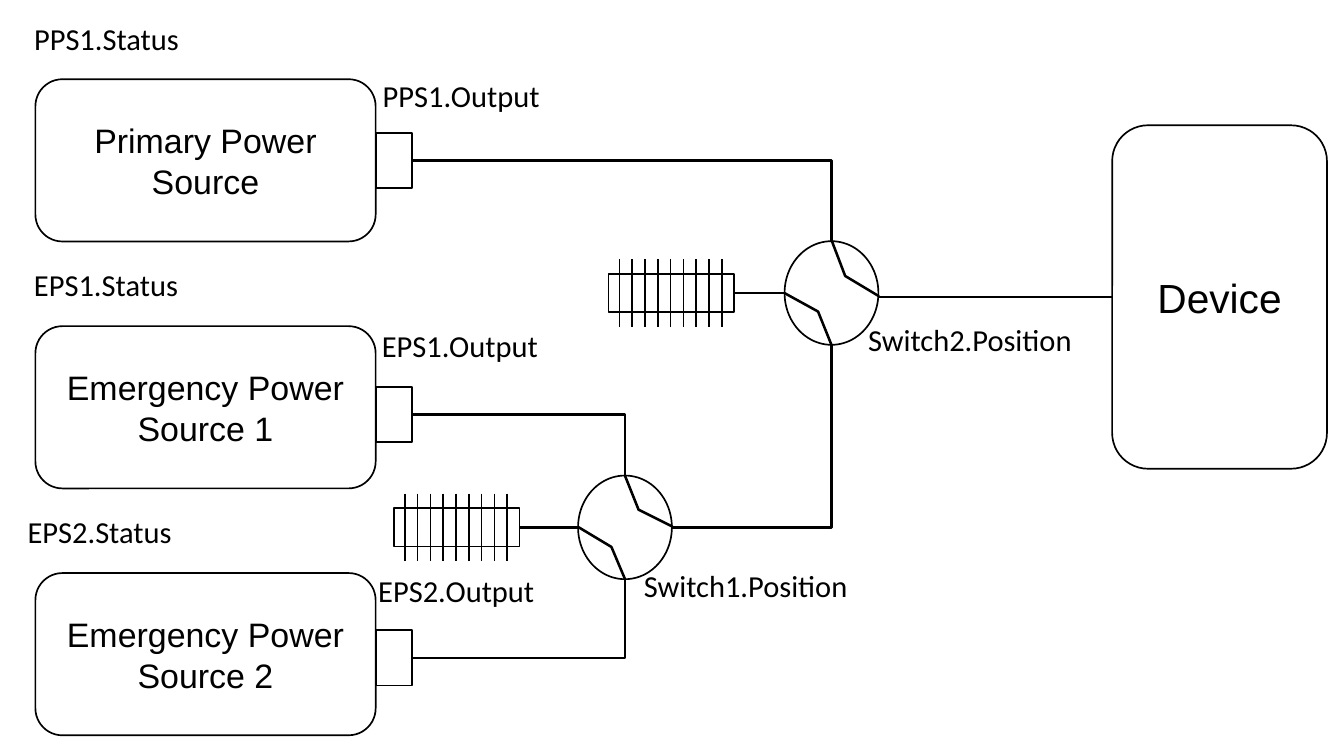
from dataclasses import dataclass

from lxml.etree import SubElement
from pptx import Presentation
from pptx.dml.color import RGBColor
from pptx.enum.shapes import MSO_CONNECTOR, MSO_SHAPE
from pptx.enum.text import MSO_ANCHOR, MSO_AUTO_SIZE, PP_ALIGN
from pptx.oxml.ns import qn
from pptx.util import Pt


@dataclass(frozen=True)
class Theme:
    ink: RGBColor = RGBColor(0, 0, 0)
    paper: RGBColor = RGBColor(255, 255, 255)
    outline: float = 1
    wire: float = 1.5
    label: dict = None
    source: dict = None
    device: dict = None


theme = Theme(
    label={"name": "Calibri", "size": Pt(18)},
    source={"name": "Arial", "size": Pt(20)},
    device={"name": "Arial", "size": Pt(24)},
)

presentation = Presentation()
presentation.slide_width, presentation.slide_height = Pt(793.44), Pt(446.4)
slide = presentation.slides.add_slide(presentation.slide_layouts[6])


def add_block(kind, left, top, width, height, text="", font_values=None):
    """Add an outlined white shape, with centred text if any is given."""
    shape = slide.shapes.add_shape(kind, Pt(left), Pt(top), Pt(width), Pt(height))
    shape.shadow.inherit = False
    shape.fill.solid()
    shape.fill.fore_color.rgb = theme.paper
    shape.line.color.rgb = theme.ink
    shape.line.width = Pt(theme.outline)
    if text:
        shape.text_frame.text = text
        shape.text_frame.vertical_anchor = MSO_ANCHOR.MIDDLE
        paragraph = shape.text_frame.paragraphs[0]
        paragraph.alignment = PP_ALIGN.CENTER
        paragraph.font.color.rgb = theme.ink
        for name, value in font_values.items():
            setattr(paragraph.font, name, value)


def add_wire(start, end, width=theme.wire, bent=False):
    """Join two points; a bent wire runs level first, then upright."""
    kind = MSO_CONNECTOR.ELBOW if bent else MSO_CONNECTOR.STRAIGHT
    connector = slide.shapes.add_connector(kind, *map(Pt, start + end))
    connector.line.color.rgb = theme.ink
    connector.line.width = Pt(width)
    properties = connector._element.spPr
    SubElement(properties, qn("a:effectLst"))
    if bent:
        properties.find(qn("a:prstGeom")).set("prst", "bentConnector2")


# Power sources and their outlets
source_left, source_width, source_height = 20.9, 200.9, 95.8
outlet_left, outlet_width, outlet_height = 221.8, 21.6, 32.6
outlet_right = outlet_left + outlet_width
sources = [
    ("Primary Power Source", 78.4),
    ("Emergency Power Source 1", 228.5),
    ("Emergency Power Source 2", 372.2),
]
outlet_points = []
for index, (name, outlet_top) in enumerate(sources):
    add_block(MSO_SHAPE.ROUNDED_RECTANGLE, source_left, 46.8 + 145.8 * index,
              source_width, source_height, name, theme.source)
    add_block(MSO_SHAPE.RECTANGLE, outlet_left, outlet_top, outlet_width, outlet_height)
    outlet_points.append((outlet_right, outlet_top + outlet_height / 2))

device_left = 656.6
add_block(MSO_SHAPE.ROUNDED_RECTANGLE, device_left, 74, 126.8, 202.8, "Device", theme.device)

# Switches with two contacts each, and the resistors they rest on
switch_width, switch_height = 55.4, 61.2
resistor_width, resistor_height = 74.2, 22.7
fin_count, fin_pitch, fin_inset, fin_overhang = 9, 7.56, 6.4, 8.5
switches = [  # left, top, height of the output, left of the resistor
    (341.3, 280.8, 30.6, 232.6),
    (463.2, 142.4, 33, 359.3),
]
switch_points = []
for left, top, output_height, resistor_left in switches:
    center, middle, right = left + switch_width / 2, top + switch_height / 2, left + switch_width
    upper, lower, output = (center, top), (center, top + switch_height), (right, top + output_height)
    switch_points.append((upper, lower, output))
    add_block(MSO_SHAPE.OVAL, left, top, switch_width, switch_height)
    for contact in (
        [(left, middle), (left + 19.4, middle + 11.5), lower],
        [upper, (right - 19.4, top + 20.4), output],
    ):
        builder = slide.shapes.build_freeform(*contact[0], scale=Pt(1))
        builder.add_line_segments(contact[1:], close=False)
        shape = builder.convert_to_shape()
        shape.shadow.inherit = False
        shape.fill.background()
        shape.line.color.rgb = theme.ink
        shape.line.width = Pt(theme.wire)

    resistor_top = middle - resistor_height / 2
    add_block(MSO_SHAPE.RECTANGLE, resistor_left, resistor_top, resistor_width, resistor_height)
    for index in range(fin_count):
        fin_x = resistor_left + fin_inset + fin_pitch * index
        add_wire((fin_x, resistor_top - fin_overhang),
                 (fin_x, resistor_top + resistor_height + fin_overhang), theme.outline)
    add_wire((resistor_left + resistor_width, middle), (left, middle))

# Wires from the outlets through both switches to the device
primary, emergency_1, emergency_2 = outlet_points
(upper_1, lower_1, output_1), (upper_2, lower_2, output_2) = switch_points
for start, end in [(primary, upper_2), (emergency_1, upper_1),
                   (emergency_2, lower_1), (output_1, lower_2)]:
    add_wire(start, end, bent=True)
add_wire(output_2, (device_left, output_2[1]))

# Names of the state variables
labels = [
    ("PPS1.Status", 13, 8.2, 100.6),
    ("EPS1.Status", 13, 153.7, 100),
    ("EPS2.Status", 9.2, 299.5, 100),
    ("PPS1.Output", 218.9, 42, 108),
    ("EPS1.Output", 218.3, 189.6, 107.3),
    ("EPS2.Output", 216.2, 334.4, 107.3),
    ("Switch1.Position", 373, 331, 136.1),
    ("Switch2.Position", 505.4, 185.8, 136.1),
]
for text, left, top, width in labels:
    frame = slide.shapes.add_textbox(Pt(left), Pt(top), Pt(width), Pt(29)).text_frame
    frame.text = text
    frame.word_wrap = False
    frame.auto_size = MSO_AUTO_SIZE.SHAPE_TO_FIT_TEXT
    font = frame.paragraphs[0].font
    font.color.rgb = theme.ink
    for name, value in theme.label.items():
        setattr(font, name, value)

presentation.save("out.pptx")
